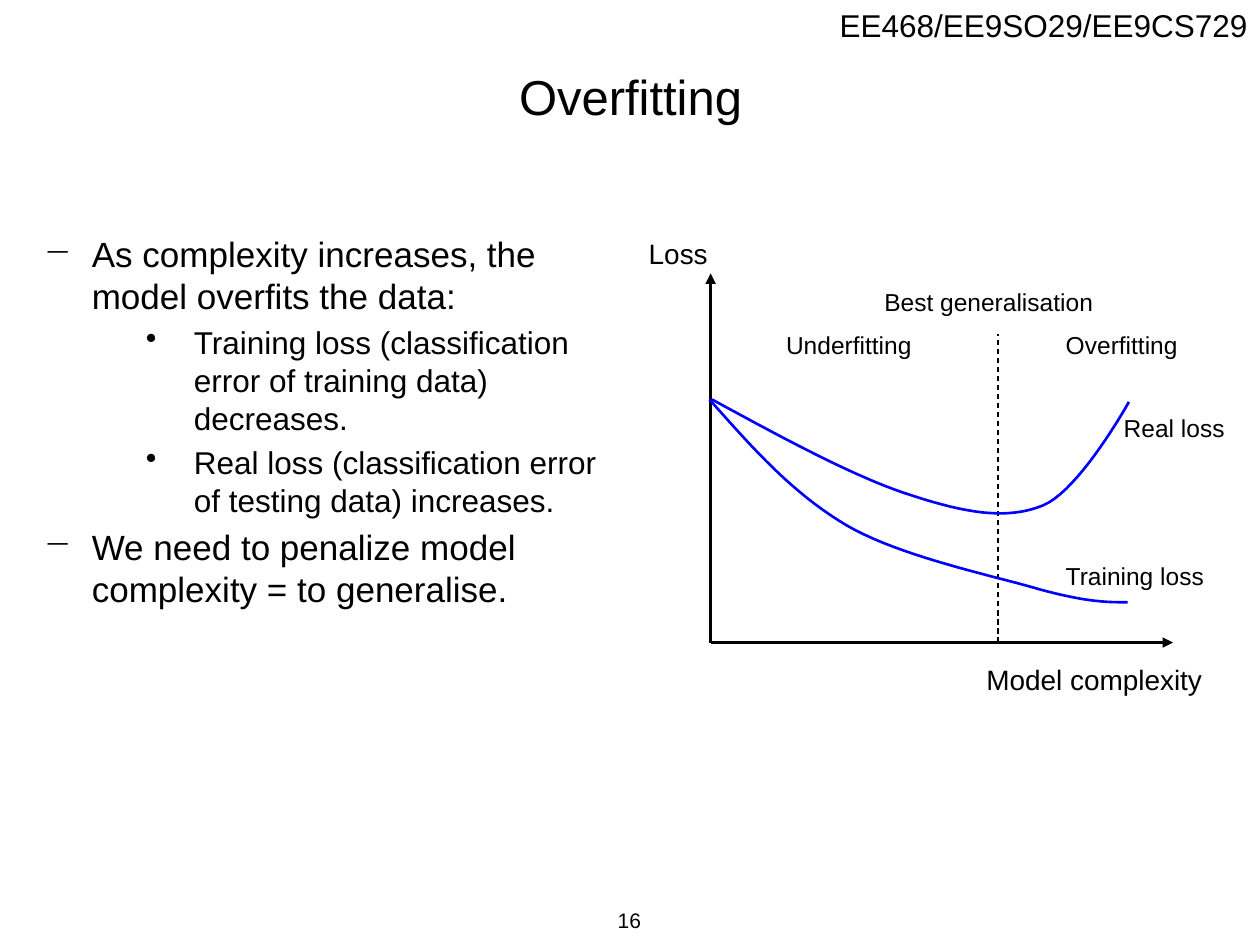
"""Build the slide that explains overfitting with loss curves against model complexity."""
import dataclasses

import lxml.etree
import pptx
import pptx.dml.color
import pptx.enum.dml
import pptx.enum.text
import pptx.oxml.ns
import pptx.util

Inches, Pt = pptx.util.Inches, pptx.util.Pt
qn = pptx.oxml.ns.qn
ALIGN, ANCHOR = pptx.enum.text.PP_ALIGN, pptx.enum.text.MSO_ANCHOR


@dataclasses.dataclass(frozen=True)
class Theme:
    font: str = "Arial"
    ink: pptx.dml.color.RGBColor = pptx.dml.color.RGBColor(0, 0, 0)
    curve: pptx.dml.color.RGBColor = pptx.dml.color.RGBColor(0, 0, 255)
    title: int = 28
    point: int = 20
    detail: int = 18
    axis: int = 16
    label: int = 14
    number: int = 12


theme = Theme()
deck = pptx.Presentation()
deck.slide_width, deck.slide_height = Inches(10), Inches(7.5)
slide = deck.slides.add_slide(deck.slide_layouts[6])


def style_paragraph(paragraph, size, align=ALIGN.LEFT):
    paragraph.alignment = align
    for run in paragraph.runs:
        run.font.name = theme.font
        run.font.size = Pt(size)
        run.font.color.rgb = theme.ink


def add_text(text, box, size, align=ALIGN.LEFT, anchor=ANCHOR.TOP, wrap=False):
    frame = slide.shapes.add_textbox(*map(Inches, box)).text_frame
    frame.word_wrap = wrap
    frame.vertical_anchor = anchor
    frame.text = text
    for paragraph in frame.paragraphs:
        style_paragraph(paragraph, size, align)
    return frame


add_text("EE468/EE9SO29/EE9CS729", (6.45, 0, 3.55, 0.4), theme.detail, ALIGN.RIGHT)
add_text("Overfitting", (0.17, 0.28, 9.67, 0.97), theme.title, ALIGN.CENTER, ANCHOR.MIDDLE, True)
add_text("16", (3.83, 7.1, 2.33, 0.4), theme.number, ALIGN.CENTER, ANCHOR.MIDDLE, True)

points = [
    (0, "As complexity increases, the model overfits the data:"),
    (1, "Training loss (classification error of training data) decreases."),
    (1, "Real loss (classification error of testing data) increases."),
    (0, "We need to penalize model complexity = to generalise."),
]
level_styles = [(theme.point, 0.38, "─"), (theme.detail, 1.19, "•")]
body = add_text("\n".join(text for _, text in points), (0.25, 1.8, 4.75, 5.3), theme.point, wrap=True)
for paragraph, (level, _) in zip(body.paragraphs, points):
    size, indent, bullet = level_styles[level]
    style_paragraph(paragraph, size)
    paragraph.level = level
    paragraph.space_before = Pt(0.2 * size)
    properties = paragraph._p.get_or_add_pPr()
    properties.set("marL", str(Inches(indent)))
    properties.set("indent", str(Inches(-0.38)))
    lxml.etree.SubElement(properties, qn("a:buChar")).set("char", bullet)

origin_x, origin_y, best_x = 5.64, 5.1, 7.92
chart_lines = [
    ((origin_x, origin_y), (9.31, origin_y), 1.5, True),
    ((origin_x, origin_y), (origin_x, 2.17), 1.5, True),
    ((best_x, origin_y), (best_x, 2.65), 0.75, False),
]
for start, end, width, is_axis in chart_lines:
    connector = slide.shapes.add_connector(1, *map(Inches, start + end))
    connector.line.color.rgb = theme.ink
    connector.line.width = Pt(width)
    if is_axis:
        lxml.etree.SubElement(connector.line._get_or_add_ln(), qn("a:tailEnd")).set("type", "triangle")
    else:
        connector.line.dash_style = pptx.enum.dml.MSO_LINE.DASH
    lxml.etree.SubElement(connector._element.spPr, qn("a:effectLst"))

training_loss = [
    (5.63, 3.17), (5.96, 3.54), (6.28, 3.91), (6.72, 4.17), (7.15, 4.42),
    (7.89, 4.57), (8.26, 4.68), (8.63, 4.78), (8.79, 4.78), (8.95, 4.78),
]
real_loss = [
    (5.65, 3.17), (6.22, 3.48), (6.79, 3.79), (7.23, 3.93), (7.66, 4.07),
    (7.99, 4.13), (8.28, 4.01), (8.57, 3.89), (8.96, 3.19), (8.96, 3.19),
]
steps = 20
for controls in (training_loss, real_loss):
    curve_points = []
    for first in range(0, len(controls) - 1, 3):
        for step in range(1, steps + 1):
            t = step / steps
            weights = ((1 - t) ** 3, 3 * t * (1 - t) ** 2, 3 * t**2 * (1 - t), t**3)
            segment = controls[first:first + 4]
            curve_points.append(tuple(
                Inches(sum(w * p[axis] for w, p in zip(weights, segment))) for axis in (0, 1)
            ))
    builder = slide.shapes.build_freeform(*map(Inches, controls[0]))
    builder.add_line_segments(curve_points, close=False)
    curve = builder.convert_to_shape()
    curve.shadow.inherit = False
    curve.fill.background()
    curve.line.color.rgb = theme.curve
    curve.line.width = Pt(1.5)

chart_labels = [
    ("Model complexity", (7.73, 5.21, 1.93, 0.37), theme.axis),
    ("Loss", (5.05, 1.83, 0.68, 0.37), theme.axis),
    ("Real loss", (8.82, 3.23, 1.01, 0.34), theme.label),
    ("Training loss", (8.36, 4.4, 1.3, 0.34), theme.label),
    ("Best generalisation", (6.92, 2.23, 1.87, 0.34), theme.label),
    ("Underfitting", (6.14, 2.57, 1.2, 0.34), theme.label),
    ("Overfitting", (8.36, 2.57, 1.09, 0.34), theme.label),
]
for text, box, size in chart_labels:
    add_text(text, box, size)

deck.save("out.pptx")
